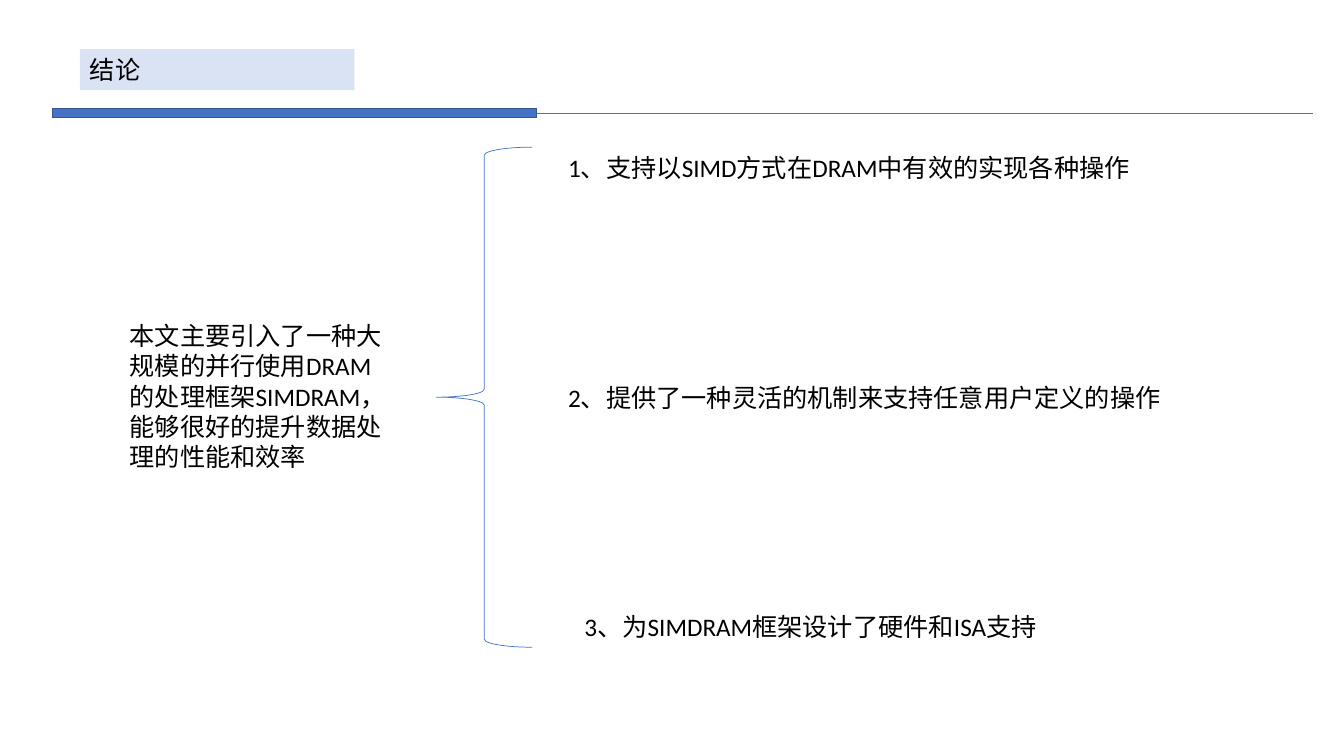
from lxml import etree
from pptx import Presentation
from pptx import util as u
from pptx.dml.color import RGBColor
from pptx.enum import shapes, text
from pptx.oxml import ns

COLOURS = {"accent": "4472C4", "bar_edge": "325491", "heading": "DAE3F3", "text": "000000"}


def write(shape, words):
    """Put 18 pt left-aligned text at the top of the shape."""
    frame = shape.text_frame
    frame_format = {
        "word_wrap": True,
        "auto_size": text.MSO_AUTO_SIZE.NONE,
        "vertical_anchor": text.MSO_ANCHOR.TOP,
    }
    for name, value in frame_format.items():
        setattr(frame, name, value)
    paragraph = frame.paragraphs[0]
    paragraph.text = words
    paragraph.alignment = text.PP_ALIGN.LEFT
    font = paragraph.runs[0].font
    for name, value in {"name": "Calibri", "size": u.Pt(18)}.items():
        setattr(font, name, value)
    font.color.rgb = RGBColor.from_string(COLOURS["text"])


def outline(shape, colour, width):
    shape.line.color.rgb = RGBColor.from_string(COLOURS[colour])
    shape.line.width = u.Pt(width)


presentation = Presentation()
presentation.slide_width = u.Cm(33.87)
presentation.slide_height = u.Cm(19.05)
slide = presentation.slides.add_slide(presentation.slide_layouts[5])

# Header rule and bar
rule = slide.shapes.add_connector(
    shapes.MSO_CONNECTOR.STRAIGHT, u.Cm(1.32), u.Cm(2.85), u.Cm(33.1), u.Cm(2.85)
)
outline(rule, "accent", 0.5)
etree.SubElement(rule.element.spPr, ns.qn("a:effectLst"))

bar = slide.shapes.add_shape(
    shapes.MSO_SHAPE.RECTANGLE, u.Cm(1.32), u.Cm(2.74), u.Cm(12.2), u.Cm(0.23)
)
bar.shadow.inherit = False
bar.fill.solid()
bar.fill.fore_color.rgb = RGBColor.from_string(COLOURS["accent"])
outline(bar, "bar_edge", 1)

# Heading
heading = slide.shapes.title
heading_place = {"left": 2.01, "top": 1.24, "width": 6.92, "height": 1.03}
for name, value in heading_place.items():
    setattr(heading, name, u.Cm(value))
heading.fill.solid()
heading.fill.fore_color.rgb = RGBColor.from_string(COLOURS["heading"])
write(heading, "结论")

# Summary, brace and the three conclusions
summary = slide.shapes.add_textbox(u.Cm(3.02), u.Cm(7.95), u.Cm(7.04), u.Cm(4.11))
write(summary, "本文主要引入了一种大规模的并行使用DRAM的处理框架SIMDRAM，能够很好的提升数据处理的性能和效率")

brace = slide.shapes.add_shape(
    shapes.MSO_SHAPE.LEFT_BRACE, u.Cm(11.1 - 0.1), u.Cm(3.71), u.Cm(2.41), u.Cm(12.6)
)
brace.shadow.inherit = False
brace.fill.background()
outline(brace, "accent", 0.5)

conclusions = [
    (14.07, 14.81, "1、支持以SIMD方式在DRAM中有效的实现各种操作"),
    (14.07, 15.6, "2、提供了一种灵活的机制来支持任意用户定义的操作"),
    (14.48, 12.37, "3、为SIMDRAM框架设计了硬件和ISA支持"),
]
for index, (left, width, words) in enumerate(conclusions):
    top = 3.71 + 5.79 * index
    conclusion = slide.shapes.add_textbox(u.Cm(left), u.Cm(top), u.Cm(width), u.Cm(1.03))
    write(conclusion, words)

presentation.save("out.pptx")
